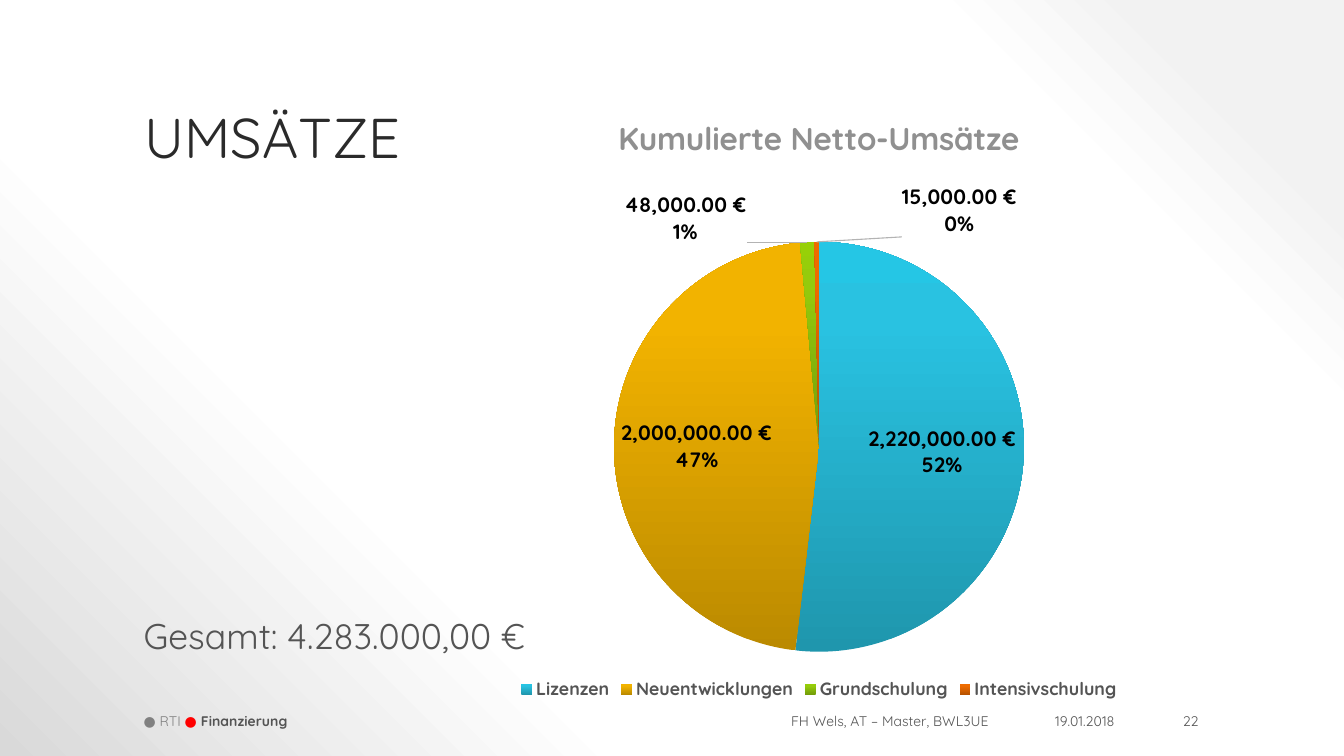
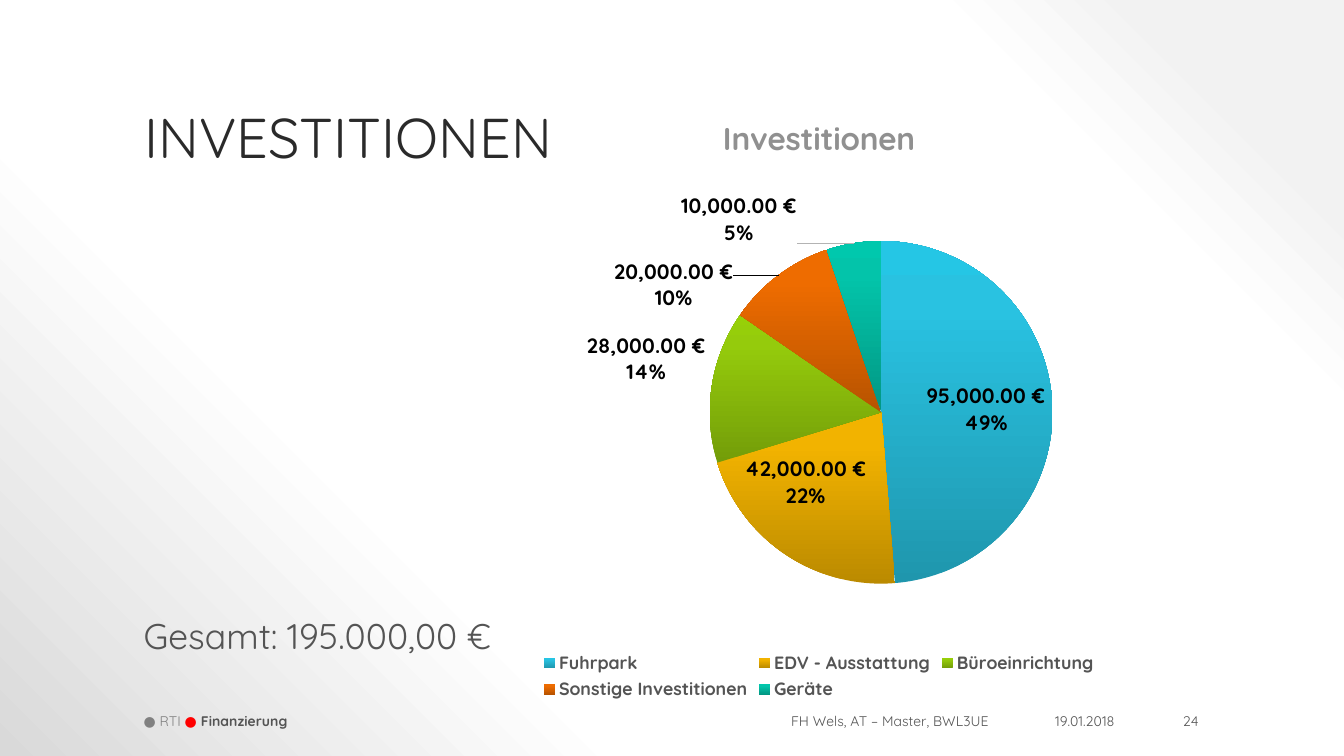
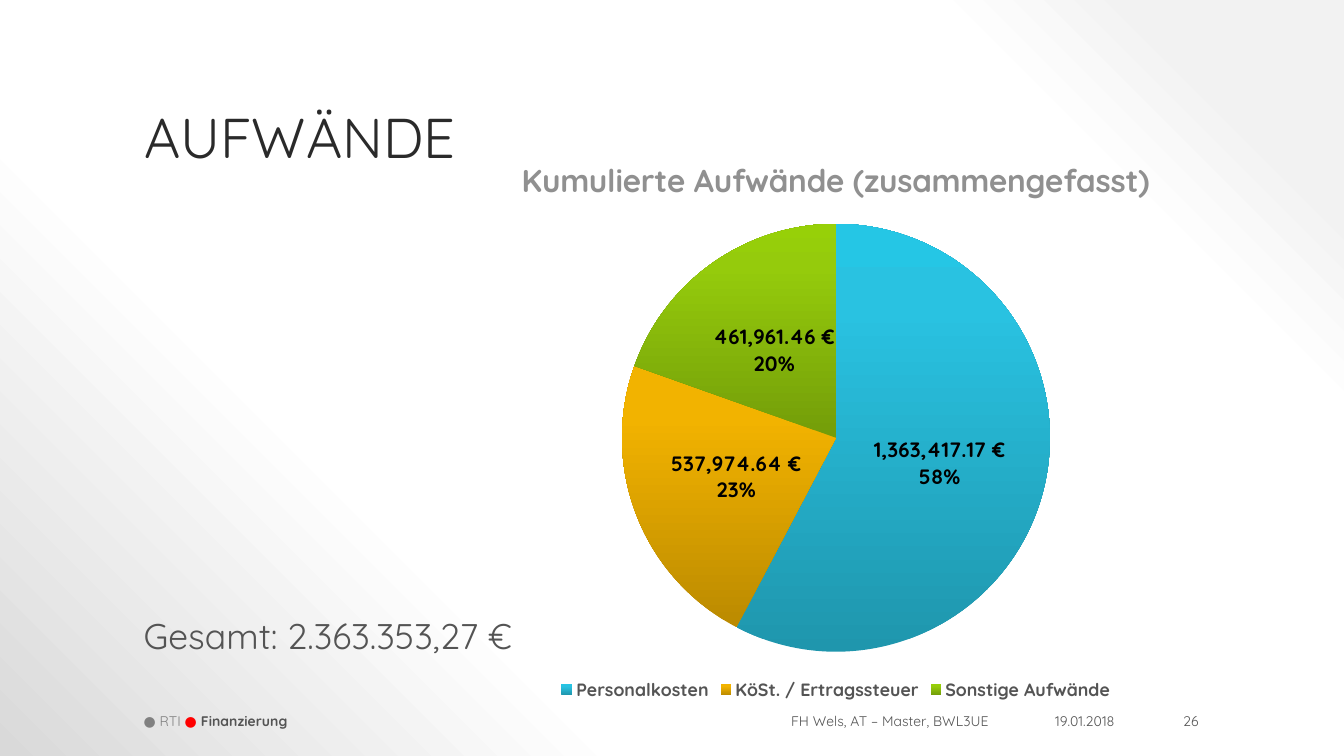
from collections import namedtuple
from copy import deepcopy

from lxml.etree import SubElement
from pptx import Presentation
from pptx.chart.data import CategoryChartData
from pptx.dml.color import RGBColor
from pptx.enum.chart import XL_CHART_TYPE, XL_LABEL_POSITION, XL_LEGEND_POSITION
from pptx.enum.text import MSO_ANCHOR, MSO_AUTO_SIZE, PP_ALIGN
from pptx.oxml.ns import qn
from pptx.util import Cm, Pt

FONT = "Quicksand"
FOOTER_SIZE = 9.45
INK = RGBColor(0x2A, 0x2A, 0x2A)
BODY = RGBColor(0x54, 0x54, 0x54)
CHART_TITLE = RGBColor(0x90, 0x90, 0x90)
MUTED = RGBColor(0x80, 0x80, 0x80)
LEADER = RGBColor(0xB3, 0xB3, 0xB3)
RED = RGBColor(0xFF, 0x00, 0x00)
BLACK = RGBColor(0x00, 0x00, 0x00)
SHADE = RGBColor(0xD9, 0xD9, 0xD9)
MIST = RGBColor(0xF2, 0xF2, 0xF2)
WHITE = RGBColor(0xFF, 0xFF, 0xFF)

BACKDROP = [(10, MIST), (20, WHITE), (70, WHITE), (100, SHADE)]
SLICE_COLOURS = [
    (RGBColor(0x1F, 0x96, 0xAD), RGBColor(0x29, 0xC2, 0xE1), RGBColor(0x25, 0xC6, 0xE5)),
    (RGBColor(0xBB, 0x8A, 0x00), RGBColor(0xF2, 0xB3, 0x00), RGBColor(0xF3, 0xB4, 0x00)),
    (RGBColor(0x73, 0x9D, 0x09), RGBColor(0x95, 0xCB, 0x0C), RGBColor(0x97, 0xD0, 0x08)),
    (RGBColor(0xB8, 0x53, 0x00), RGBColor(0xEE, 0x6C, 0x00), RGBColor(0xEF, 0x6C, 0x00)),
    (RGBColor(0x02, 0x97, 0x83), RGBColor(0x03, 0xC4, 0xAA), RGBColor(0x00, 0xC8, 0xAD)),
]
EURO_FORMAT = '#,##0.00\\ "€"'

Box = namedtuple("Box", "left top width height")
Topic = namedtuple("Topic", "title total number chart_title values chart_box pie position shifts")

TITLE_BOX = Box(Cm(3.19), Cm(0.71), Cm(25.6), Cm(3.48))
TOTAL_BOX = Box(Cm(3.17), Cm(14.6), Cm(10.03), Cm(1.17))
SECTION_BOX = Box(Cm(3.17), Cm(16.92), Cm(15.09), Cm(0.48))
EVENT_BOX = Box(Cm(18.28), Cm(16.92), Cm(5.51), Cm(0.48))
DATE_BOX = Box(Cm(24.3), Cm(16.92), Cm(2.49), Cm(0.48))
NUMBER_BOX = Box(Cm(27.29), Cm(16.92), Cm(1.5), Cm(0.48))
WIDE_CHART = Box(Cm(7), Cm(2.2), Cm(25), Cm(14.58))
LOW_CHART = Box(Cm(7.8), Cm(3.2), Cm(24.2), Cm(13.59))

TOPICS = [
    Topic("UMSÄTZE", "Gesamt: 4.283.000,00 €", "22", "Kumulierte Netto-Umsätze",
          {"Lizenzen": 2220000, "Neuentwicklungen": 2000000,
           "Grundschulung": 48000, "Intensivschulung": 15000},
          WIDE_CHART, Box(Cm(14.62), Cm(5.76), Cm(9.76), Cm(9.76)),
          XL_LABEL_POSITION.BEST_FIT,
          {2: (Cm(-2.89), Cm(0.21)), 3: (Cm(3.4), Cm(0.03))}),
    Topic("INVESTITIONEN", "Gesamt: 195.000,00 €", "24", "Investitionen",
          {"Fuhrpark": 95000, "EDV - Ausstattung": 42000, "Büroeinrichtung": 28000,
           "Sonstige Investitionen": 20000, "Geräte": 10000},
          WIDE_CHART, Box(Cm(16.9), Cm(5.74), Cm(8.16), Cm(8.16)),
          XL_LABEL_POSITION.BEST_FIT, {4: (Cm(-1.33), Cm(0.21))}),
    Topic("AUFWÄNDE", "Gesamt: 2.363.353,27 €", "26",
          "Kumulierte Aufwände (zusammengefasst)",
          {"Personalkosten": 1363417.17, "KöSt. / Ertragssteuer": 537974.64,
           "Sonstige Aufwände": 461961.46},
          LOW_CHART, Box(Cm(14.81), Cm(5.33), Cm(10.19), Cm(10.19)),
          XL_LABEL_POSITION.CENTER, {}),
]


def set_font(font, size, colour, bold=False):
    """Apply the deck font with a size, colour and weight."""
    font.name = FONT
    font.size = Pt(size)
    font.color.rgb = colour
    font.bold = bold


def set_stops(gradient, stops):
    """Replace the content of a gradient fill by the given stops."""
    gradient.clear()
    stop_list = SubElement(gradient, qn("a:gsLst"))
    for percent, colour in stops:
        stop = SubElement(stop_list, qn("a:gs"), pos=str(percent * 1000))
        SubElement(stop, qn("a:srgbClr"), val=str(colour))


def paint_backdrop(master):
    """Give the master a radial gradient centred on the top right corner."""
    master.background.fill.gradient()
    gradient = next(master.element.iter(qn("a:gradFill")))
    set_stops(gradient, BACKDROP)
    radial = SubElement(gradient, qn("a:path"), path="circle")
    SubElement(radial, qn("a:fillToRect"), l="100000", b="100000")


def add_text(page, box, spans, size, align=PP_ALIGN.LEFT, anchor=MSO_ANCHOR.MIDDLE):
    """Add one paragraph made of (text, colour, bold) spans."""
    frame = page.shapes.add_textbox(*box).text_frame
    frame.word_wrap = True
    frame.vertical_anchor = anchor
    para = frame.paragraphs[0]
    para.alignment = align
    for text, colour, bold in spans:
        span = para.add_run()
        span.text = text
        set_font(span.font, size, colour, bold)
    return para


def add_title(page, box, text):
    """Place and format the title placeholder."""
    title = page.shapes.title
    title.left, title.top, title.width, title.height = box
    frame = title.text_frame
    frame.text = text
    frame.auto_size = MSO_AUTO_SIZE.NONE
    frame.vertical_anchor = MSO_ANCHOR.BOTTOM
    para = frame.paragraphs[0]
    para.alignment = PP_ALIGN.LEFT
    para.line_spacing = 0.9
    set_font(para.font, 37.8, INK)


def add_footer(page, number):
    """Add section, event, date and page number."""
    section = [("● RTI ", MUTED, False), ("● ", RED, True), ("Finanzierung", BODY, True)]
    add_text(page, SECTION_BOX, section, FOOTER_SIZE)
    for box, text in ((EVENT_BOX, "FH Wels, AT – Master, BWL3UE"),
                      (DATE_BOX, "19.01.2018"), (NUMBER_BOX, number)):
        add_text(page, box, [(text, BODY, False)], FOOTER_SIZE, PP_ALIGN.RIGHT)


def manual_layout(parent, **settings):
    """Create a manual chart layout under the parent element."""
    layout = SubElement(parent, qn("c:layout"))
    manual = SubElement(layout, qn("c:manualLayout"))
    for name, value in settings.items():
        SubElement(manual, qn(f"c:{name}"), val=str(value))
    return layout


def place_pie(chart, box, pie):
    """Fix the plot area at the pie's place within the chart box."""
    plot_area = next(chart.element.iter(qn("c:plotArea")))
    for layout in plot_area.findall(qn("c:layout")):
        plot_area.remove(layout)
    layout = manual_layout(
        plot_area, layoutTarget="inner", xMode="edge", yMode="edge",
        x=(pie.left - box.left) / box.width, y=(pie.top - box.top) / box.height,
        w=pie.width / box.width, h=pie.height / box.height)
    plot_area.insert(0, layout)


def add_leader_lines(group):
    """Draw thin grey leader lines to labels that were moved."""
    leader = SubElement(group, qn("c:leaderLines"))
    outline = SubElement(SubElement(leader, qn("c:spPr")), qn("a:ln"), w="9525")
    fill = SubElement(outline, qn("a:solidFill"))
    SubElement(fill, qn("a:srgbClr"), val=str(LEADER))


def label_slices(chart, box, position, shifts):
    """Label slices with value and percentage, moving those with a shift."""
    labels = chart.plots[0].series[0].data_labels
    set_font(labels.font, 14, BLACK, True)
    labels.number_format = EURO_FORMAT
    labels.number_format_is_linked = True
    labels.show_value = True
    labels.show_percentage = True
    labels.position = position
    group = next(chart.element.iter(qn("c:dLbls")))
    separator = SubElement(group, qn("c:separator"))
    separator.text = "\n"
    group.find(qn("c:showBubbleSize")).addnext(separator)
    shared = [item for item in group if item.tag != qn("c:showLeaderLines")]
    for place, (index, (across, down)) in enumerate(shifts.items()):
        label = SubElement(group, qn("c:dLbl"))
        SubElement(label, qn("c:idx"), val=str(index))
        manual_layout(label, x=across / box.width, y=down / box.height)
        label.extend(deepcopy(shared))
        group.insert(place, label)
    add_leader_lines(group)


def add_pie(page, topic):
    """Add the pie chart with its title, legend, colours and labels."""
    data = CategoryChartData(number_format=EURO_FORMAT)
    data.categories = list(topic.values)
    data.add_series(topic.chart_title, list(topic.values.values()))
    chart = page.shapes.add_chart(XL_CHART_TYPE.PIE, *topic.chart_box, data).chart
    set_font(chart.font, 10, BODY)
    chart.has_title = True
    chart.chart_title.text_frame.text = topic.chart_title
    set_font(chart.chart_title.text_frame.paragraphs[0].font, 21.3, CHART_TITLE, True)
    chart.has_legend = True
    chart.legend.position = XL_LEGEND_POSITION.BOTTOM
    chart.legend.include_in_layout = False
    set_font(chart.legend.font, 12, BODY, True)
    plot = chart.plots[0]
    plot.vary_by_categories = True
    for index in range(len(topic.values)):
        plot.series[0].points[index].format.fill.gradient()
    for point, colours in zip(chart.element.iter(qn("c:dPt")), SLICE_COLOURS):
        gradient = next(point.iter(qn("a:gradFill")))
        set_stops(gradient, zip((0, 80, 100), colours))
        SubElement(gradient, qn("a:lin"), ang=str(270 * 60000), scaled="0")
    place_pie(chart, topic.chart_box, topic.pie)
    label_slices(chart, topic.chart_box, topic.position, topic.shifts)


def add_topic_page(deck, topic):
    """Build one slide with title, pie chart, total and footer."""
    page = deck.slides.add_slide(deck.slide_layouts[5])
    add_title(page, TITLE_BOX, topic.title)
    add_pie(page, topic)
    add_footer(page, topic.number)
    total = add_text(page, TOTAL_BOX, [(topic.total, BODY, False)], 24,
                     anchor=MSO_ANCHOR.TOP)
    total.line_spacing = 0.9


def main():
    """Build and save the deck."""
    deck = Presentation()
    deck.slide_width, deck.slide_height = Cm(32), Cm(18)
    paint_backdrop(deck.slide_master)
    for topic in TOPICS:
        add_topic_page(deck, topic)
    deck.save("out.pptx")


if __name__ == "__main__":
    main()
